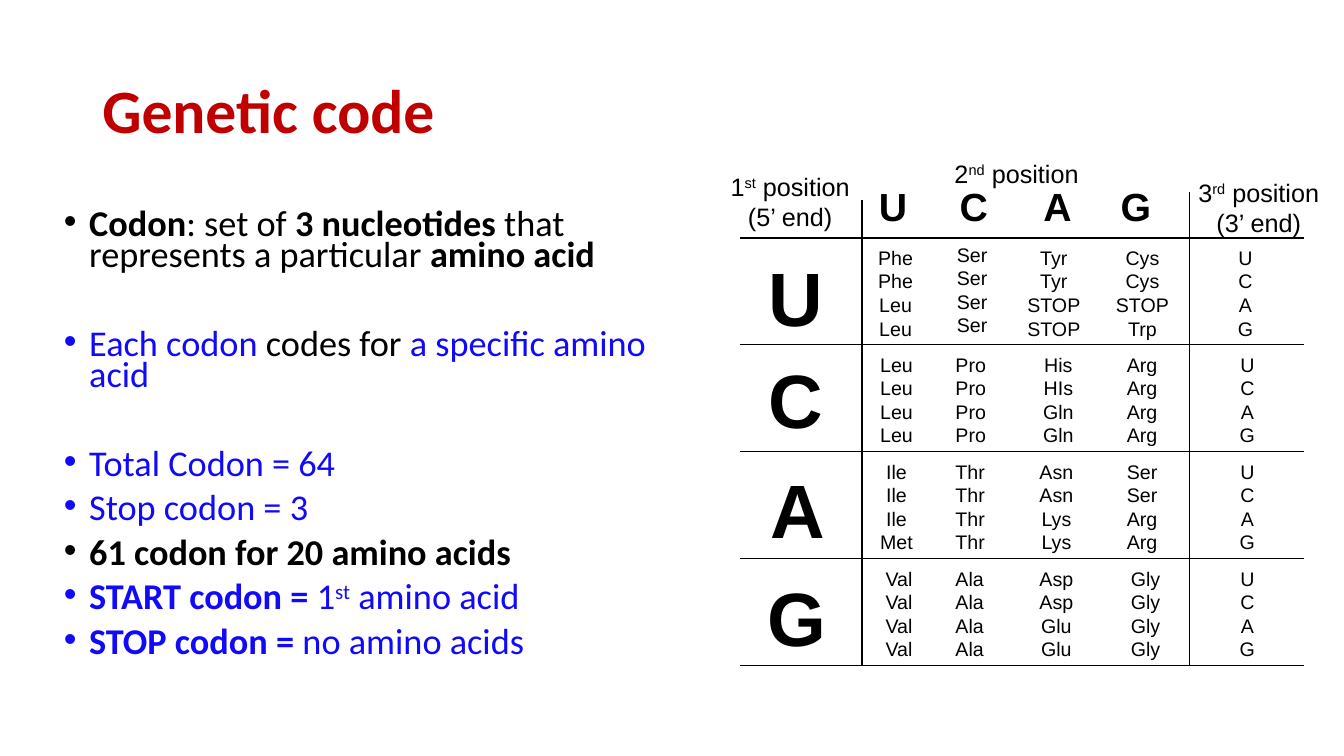
from lxml import etree
from pptx import Presentation
from pptx.dml.color import RGBColor
from pptx.enum.shapes import MSO_CONNECTOR
from pptx.enum.text import MSO_ANCHOR, MSO_AUTO_SIZE, PP_ALIGN
from pptx.oxml.ns import qn
from pptx.util import Pt

STRAIGHT = MSO_CONNECTOR.STRAIGHT
MIDDLE = MSO_ANCHOR.MIDDLE
GROW = MSO_AUTO_SIZE.SHAPE_TO_FIT_TEXT
CENTER = PP_ALIGN.CENTER

BLACK, BLUE, RED = "000000", "1009FA", "C00000"

# Each point: space before, then runs of (text, colour, style); b = bold, s = superscript
POINTS = [
    (10, [("Codon", BLACK, "b"), (": set of ", BLACK, ""), ("3 nucleotides ", BLACK, "b"),
          ("that represents a particular ", BLACK, ""), ("amino acid", BLACK, "b")]),
    (42, [("Each codon", BLUE, ""), (" codes for ", BLACK, ""),
          ("a specific amino acid", BLUE, "")]),
    (42, [("Total Codon = 64", BLUE, "")]),
    (10, [("Stop codon = 3", BLUE, "")]),
    (10, [("61 codon for 20 amino acids", BLACK, "b")]),
    (10, [("START codon = ", BLUE, "b"), ("1", BLUE, ""), ("st", BLUE, "s"),
          (" amino acid", BLUE, "")]),
    (10, [("STOP codon = ", BLUE, "b"), ("no amino acids", BLUE, "")]),
]

# Position headings: number, ordinal ending, second line, centre x, top, width
HEADINGS = [
    ("1", "st", "(5’ end)", 564.4, 118.8, 103),
    ("2", "nd", "", 726.1, 109.4, 107),
    ("3", "rd", "(3’ end)", 899.1, 123.1, 104),
]
SECOND_BASES = [("U", 637.9), ("C", 695.5), ("A", 755.3), ("G", 811.4)]

# First base, its centre x and drop below the rule, then cells of (centre x, words)
BLOCKS = [
    ("U", 568.8, 5.8, [(639.7, "Phe Phe Leu Leu"), (694.4, "Ser Ser Ser Ser"),
                       (752.8, "Tyr Tyr STOP STOP"), (816.1, "Cys Cys STOP Trp"),
                       (889.6, "U C A G")]),
    ("C", 568.8, 2.2, [(640.4, "Leu Leu Leu Leu"), (693.4, "Pro Pro Pro Pro"),
                       (756, "His HIs Gln Gln"), (815.8, "Arg Arg Arg Arg"),
                       (891, "U C A G")]),
    ("A", 570.2, 4.3, [(640.4, "Ile Ile Ile Met"), (693, "Thr Thr Thr Thr"),
                       (754.6, "Asn Asn Lys Lys"), (815.8, "Ser Ser Arg Arg"),
                       (891, "U C A G")]),
    ("G", 569.5, 5.7, [(642.2, "Val Val Val Val"), (692.6, "Ala Ala Ala Ala"),
                       (754.6, "Asp Asp Glu Glu"), (818.3, "Gly Gly Gly Gly"),
                       (891, "U C A G")]),
]
CELL_DROP = 2.2
RAISED_CELL = (0, 1)  # block and column that sit on the rule itself
CELL_WIDTHS = {1: 27, 3: 43, 4: 56}  # by length of the longest word

TABLE_LEFT, TABLE_RIGHT = 528.5, 931.7
TABLE_TOP, BLOCK_HEIGHT = 169.9, 76.32
TABLE_BOTTOM = TABLE_TOP + BLOCK_HEIGHT * len(BLOCKS)
DIVIDERS = [(615.6, 142.6), (849.6, 137.5)]  # x and top


def color(value):
    return RGBColor.from_string(value)


def add_run(paragraph, text, size, font="Arial", fill=BLACK, style=""):
    run = paragraph.add_run()
    run.text = text
    run.font.name = font
    run.font.size = Pt(size)
    run.font.bold = "b" in style
    run.font.color.rgb = color(fill)
    if "s" in style:
        run._r.get_or_add_rPr().set("baseline", "30000")


def add_frame(slide, left, top, width, height):
    box = slide.shapes.add_textbox(Pt(left), Pt(top), Pt(width), Pt(height))
    box.text_frame.word_wrap = True
    return box.text_frame


def add_centered(slide, center, top, width, height, lines, size):
    """Add an unwrapped box around a centre; each line is a list of (text, style)."""
    frame = add_frame(slide, center - width / 2, top, width, height)
    frame.word_wrap = False
    frame.auto_size = GROW
    for index, line in enumerate(lines):
        paragraph = frame.add_paragraph() if index else frame.paragraphs[0]
        paragraph.alignment = CENTER
        for text, style in line:
            add_run(paragraph, text, size, style=style)


def add_rule(slide, x1, y1, x2, y2):
    rule = slide.shapes.add_connector(STRAIGHT, Pt(x1), Pt(y1), Pt(x2), Pt(y2))
    rule.line.color.rgb = color(BLACK)
    rule.line.width = Pt(1)
    etree.SubElement(rule._element.spPr, qn("a:effectLst"))


def add_bullet(paragraph):
    properties = paragraph._p.get_or_add_pPr()
    properties.set("marL", str(Pt(18)))
    properties.set("indent", str(-Pt(18)))
    etree.SubElement(properties, qn("a:buFont"), typeface="Arial")
    etree.SubElement(properties, qn("a:buChar"), char="•")


def add_points(slide):
    frame = add_frame(slide, 38.6, 148.3, 462.2, 342.7)
    for index, (space, runs) in enumerate(POINTS):
        paragraph = frame.add_paragraph() if index else frame.paragraphs[0]
        paragraph.line_spacing = 0.7
        paragraph.space_before = Pt(space)
        add_bullet(paragraph)
        for text, fill, style in runs:
            add_run(paragraph, text, 25.9, "Calibri", fill, style)


def add_codon_table(slide):
    for x, top in DIVIDERS:
        add_rule(slide, x, top, x, TABLE_BOTTOM)
    for index in range(len(BLOCKS) + 1):
        y = TABLE_TOP + BLOCK_HEIGHT * index
        add_rule(slide, TABLE_LEFT, y, TABLE_RIGHT, y)

    for number, ending, end_label, center, top, width in HEADINGS:
        lines = [[(number, ""), (ending, "s"), (" position", "")]]
        if end_label:
            lines.append([(end_label, "")])
        add_centered(slide, center, top, width, 7.2 + 21.8 * len(lines), lines, 18)
    for base, center in SECOND_BASES:
        add_centered(slide, center, 126.7, 37, 41, [[(base, "b")]], 28)

    for row, (base, base_center, base_drop, cells) in enumerate(BLOCKS):
        top = TABLE_TOP + BLOCK_HEIGHT * row
        add_centered(slide, base_center, top + base_drop, 58, 72, [[(base, "b")]], 54)
        for column, (center, text) in enumerate(cells):
            words = text.split()
            drop = 0 if (row, column) == RAISED_CELL else CELL_DROP
            width = CELL_WIDTHS[max(map(len, words))]
            add_centered(slide, center, top + drop, width, 74.2,
                         [[(word, "")] for word in words], 14)


def main():
    presentation = Presentation()
    presentation.slide_width, presentation.slide_height = Pt(960), Pt(540)
    slide = presentation.slides.add_slide(presentation.slide_layouts[6])

    title = add_frame(slide, 66, 28.8, 828, 104.4)
    title.vertical_anchor = MIDDLE
    title.paragraphs[0].line_spacing = 0.9
    add_run(title.paragraphs[0], "Genetic code", 44, "Calibri", RED, "b")

    add_points(slide)
    add_codon_table(slide)
    presentation.save("out.pptx")


if __name__ == "__main__":
    main()
